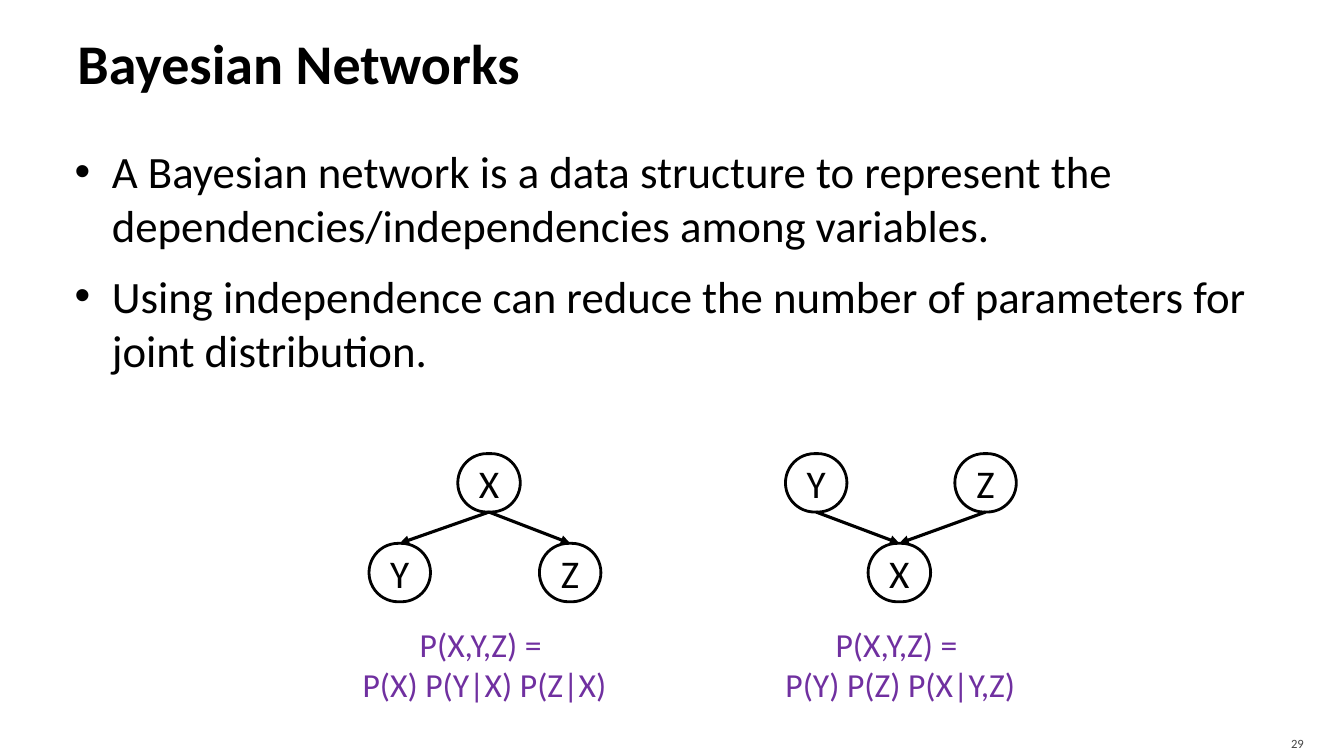
from dataclasses import dataclass

from pptx import Presentation
from pptx.dml.color import RGBColor
from pptx.enum.shapes import MSO_CONNECTOR as Connector, MSO_SHAPE as Shape
from pptx.enum.text import MSO_ANCHOR as Anchor, PP_ALIGN as Align
from pptx.oxml.ns import qn
from pptx.util import Pt
from lxml.etree import SubElement

PX = 9144  # 100 px to the inch
TOP, BOTTOM = 0, 2  # connection sites of a node


@dataclass(frozen=True)
class Theme:
    font: str = "Calibri"
    ink: str = "000000"
    formula: str = "7030A0"
    muted: str = "454545"
    title_size: int = 40
    body_size: int = 32
    node_size: int = 28
    formula_size: int = 24
    number_size: int = 9
    node_line: float = 2
    arrow_line: float = 2.25


class SlideBuilder:
    def __init__(self, slide, theme):
        self.slide = slide
        self.theme = theme

    def set_text(self, shape, text, size, color, margins, align=Align.LEFT,
                 anchor=Anchor.TOP, bold=False, wrap=True):
        frame = shape.text_frame
        frame.text = text
        frame.word_wrap = wrap
        frame.vertical_anchor = anchor
        (frame.margin_left, frame.margin_top,
         frame.margin_right, frame.margin_bottom) = (m * PX for m in margins)
        for paragraph in frame.paragraphs:
            paragraph.alignment = align
            for run in paragraph.runs:
                run.font.name = self.theme.font
                run.font.size = Pt(size)
                run.font.bold = bold
                run.font.color.rgb = RGBColor.from_string(color)
        return frame

    def text(self, box, text, size, color, margins=(10, 5, 10, 5), **style):
        shape = self.slide.shapes.add_textbox(*(v * PX for v in box))
        return self.set_text(shape, text, size, color, margins, **style)

    def bullets(self, box, items):
        frame = self.text(box, "\n".join(items), self.theme.body_size,
                          self.theme.ink, (6, 10, 10, 5))
        for index, paragraph in enumerate(frame.paragraphs):
            props = paragraph._p.get_or_add_pPr()
            props.set("marL", str(38 * PX))
            props.set("indent", str(-37 * PX))
            SubElement(props, qn("a:buFont"), typeface="Arial")
            SubElement(props, qn("a:buChar"), char="•")
            paragraph.space_before = Pt(6 if index else 0)
            paragraph.space_after = Pt(6)

    def node(self, group, label, left, top, width):
        node = group.shapes.add_shape(Shape.ROUNDED_RECTANGLE, left * PX, top * PX,
                                      width * PX, 58 * PX)
        node.adjustments[0] = 0.5
        node.shadow.inherit = False
        node.fill.background()
        node.line.color.rgb = RGBColor.from_string(self.theme.ink)
        node.line.width = Pt(self.theme.node_line)
        self.set_text(node, label, self.theme.node_size, self.theme.ink, (0, 0, 0, 0),
                      align=Align.CENTER, anchor=Anchor.MIDDLE)
        return node

    def arrow(self, group, parent, child):
        arrow = group.shapes.add_connector(
            Connector.STRAIGHT,
            parent.left + parent.width // 2, parent.top + parent.height,
            child.left + child.width // 2, child.top)
        arrow.begin_connect(parent, BOTTOM)
        arrow.end_connect(child, TOP)
        arrow.line.color.rgb = RGBColor.from_string(self.theme.ink)
        arrow.line.width = Pt(self.theme.arrow_line)
        props = arrow._element.spPr
        SubElement(props.find(qn("a:ln")), qn("a:tailEnd"), type="triangle")
        SubElement(props, qn("a:effectLst"))

    def network(self, places, edges):
        group = self.slide.shapes.add_group_shape()
        nodes = {label: self.node(group, label, *place)
                 for label, place in places.items()}
        for parent, child in edges:
            self.arrow(group, nodes[parent], nodes[child])

    def formula(self, box, text):
        self.text(box, text, self.theme.formula_size, self.theme.formula,
                  align=Align.CENTER, wrap=False)


def main():
    deck = Presentation()
    deck.slide_width, deck.slide_height = 1333 * PX, 750 * PX
    theme = Theme()
    page = SlideBuilder(deck.slides.add_slide(deck.slide_layouts[6]), theme)

    # Title and key points
    page.text((67, 8, 1200, 108), "Bayesian Networks", theme.title_size, theme.ink,
              (10, 5, 5, 5), anchor=Anchor.MIDDLE, bold=True)
    page.bullets((67, 133, 1200, 583), [
        "A Bayesian network is a data structure to represent the "
        "dependencies/independencies among variables.",
        "Using independence can reduce the number of parameters for "
        "joint distribution.",
    ])

    # Common cause on the left, common effect on the right
    upper, lower = 450, 539
    page.network({"Y": (366, lower, 61), "X": (454, upper, 62), "Z": (535, lower, 61)},
                 ["XY", "XZ"])
    page.network({"Y": (779, upper, 61), "X": (861, lower, 62), "Z": (947, upper, 61)},
                 ["YX", "ZX"])

    # Factorised joint distributions
    page.formula((345, 614, 271, 91), "P(X,Y,Z) = \nP(X) P(Y|X) P(Z|X)")
    page.formula((758, 614, 270, 91), "P(X,Y,Z) = \nP(Y) P(Z) P(X|Y,Z)")

    # Slide number
    page.text((1196, 720, 107, 30), "29", theme.number_size, theme.muted,
              (10, 5, 10, 0), align=Align.RIGHT, anchor=Anchor.MIDDLE)

    deck.save("out.pptx")


if __name__ == "__main__":
    main()
